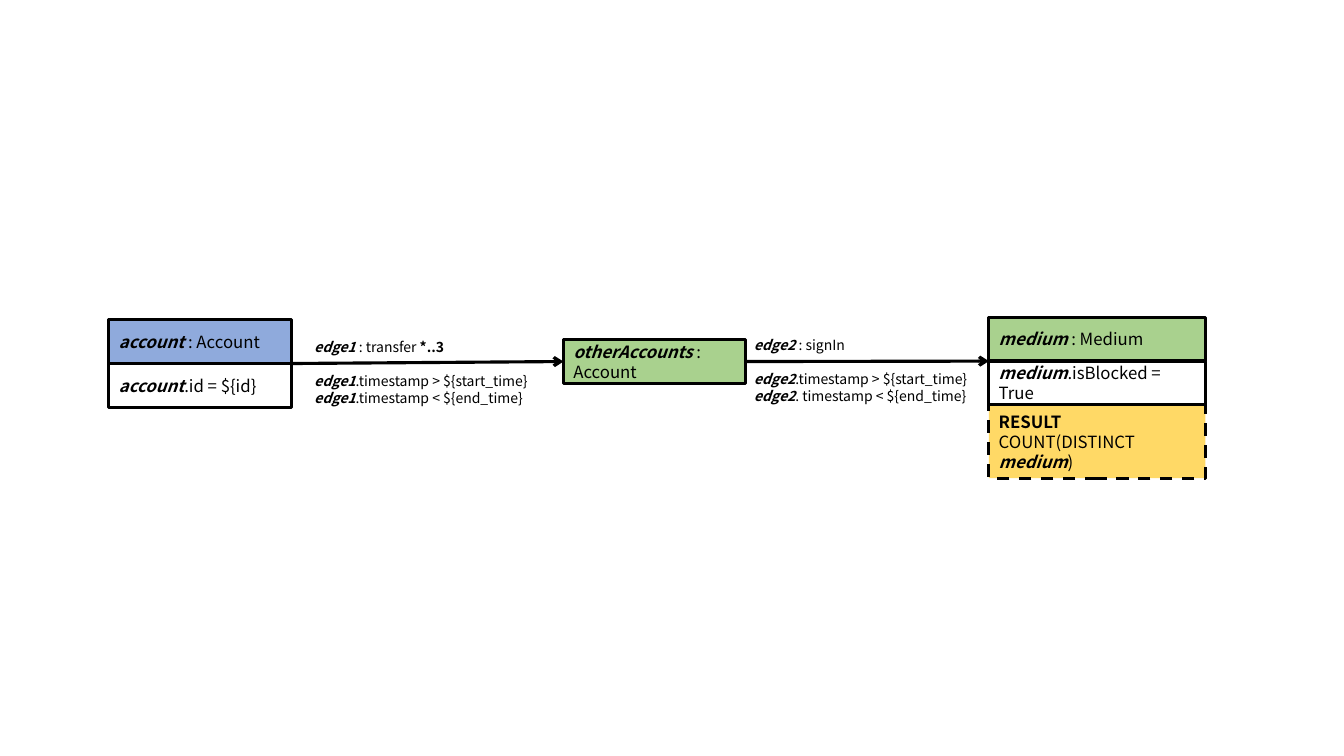
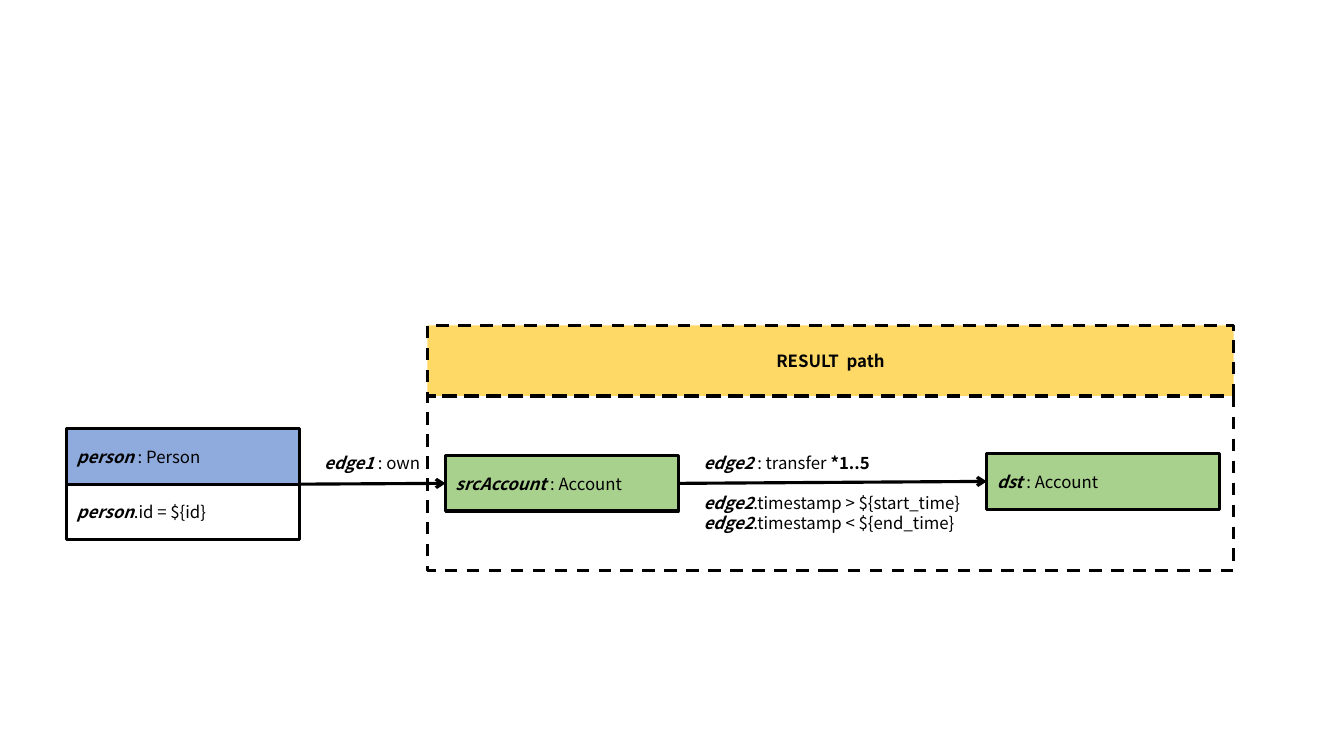
import dataclasses
import typing

import pptx
import pptx.dml.color
import pptx.enum.dml
import pptx.enum.shapes
import pptx.enum.text
import pptx.oxml
import pptx.oxml.ns
import pptx.util

Cm = pptx.util.Cm
Pt = pptx.util.Pt

FONT = "Noto Sans CJK SC"
COLORS = {
    "ink": "000000",
    "start": "8FAADC",
    "node": "A9D18E",
    "result": "FFD966",
}
LINE_WIDTH = 2.25
LINE_PITCH = 1.2  # line height as a multiple of the text size


class Run(typing.NamedTuple):
    """A piece of text with one format."""
    text: str
    bold: bool = False
    italic: bool = False


Lines = list[list[Run]]


@dataclasses.dataclass
class Row:
    """One compartment of a card; without a fill it is see-through."""
    lines: Lines
    height: float
    fill: str | None = None
    dashed: bool = False
    centered: bool = False


@dataclasses.dataclass
class Card:
    """A stack of rows; lengths in centimetres."""
    left: float
    top: float
    width: float
    rows: list[Row]

    @property
    def right(self) -> float:
        """Right edge."""
        return self.left + self.width

    @property
    def port(self) -> float:
        """Height at which arrows meet the card: first seam, or middle."""
        first = self.rows[0].height
        return self.top + (first if len(self.rows) > 1 else first / 2)


@dataclasses.dataclass
class Label:
    """The name of an edge, with its conditions below the arrow."""
    left: float
    top: float
    width: float
    height: float
    size: float
    name: list[Run]
    conditions: Lines = dataclasses.field(default_factory=list)


def var(name: str, rest: str) -> list[Run]:
    """Return a variable in bold italics followed by plain text."""
    return [Run(name, bold=True, italic=True), Run(rest)]


def strong(text: str) -> Run:
    """Return a bold run."""
    return Run(text, bold=True)


def rgb(name: str) -> pptx.dml.color.RGBColor:
    """Look up a colour by name."""
    return pptx.dml.color.RGBColor.from_string(COLORS[name])


def write(p, text: str, *, size: float = 12, bold: bool = False,
          italic: bool = False, color: str = "ink") -> None:
    """Add one formatted run to a paragraph."""
    r = p.add_run()
    r.text = text
    r.font.name = FONT
    r.font.size = Pt(size)
    r.font.bold = bold
    r.font.italic = italic
    r.font.color.rgb = rgb(color)


def fill_frame(tf, lines: Lines, size: float = 12,
               centered: bool = False) -> list:
    """Write lines into a text frame and return the paragraphs."""
    tf.word_wrap = True
    align = pptx.enum.text.PP_ALIGN
    for i, line in enumerate(lines):
        p = tf.paragraphs[0] if i == 0 else tf.add_paragraph()
        p.alignment = align.CENTER if centered else align.LEFT
        for run in line:
            write(p, run.text, size=size, bold=run.bold, italic=run.italic)
    return list(tf.paragraphs)


def outline(line, dashed: bool = False) -> None:
    """Give a shape or connector the common line style."""
    line.color.rgb = rgb("ink")
    line.width = Pt(LINE_WIDTH)
    if dashed:
        line.dash_style = pptx.enum.dml.MSO_LINE.DASH


def draw_row(s, card: Card, row: Row, top: float) -> None:
    """Draw one compartment of a card."""
    sp = s.shapes.add_shape(
        pptx.enum.shapes.MSO_SHAPE.RECTANGLE,
        Cm(card.left), Cm(top), Cm(card.width), Cm(row.height))
    sp.shadow.inherit = False
    if row.fill:
        sp.fill.solid()
        sp.fill.fore_color.rgb = rgb(row.fill)
    else:
        sp.fill.background()
    outline(sp.line, row.dashed)
    sp.text_frame.vertical_anchor = pptx.enum.text.MSO_ANCHOR.MIDDLE
    fill_frame(sp.text_frame, row.lines, centered=row.centered)


def draw_card(s, card: Card) -> None:
    """Draw a card, see-through rows last so that their outline stays whole."""
    placed = []
    top = card.top
    for row in card.rows:
        placed.append((row, top))
        top += row.height
    for row, y in sorted(placed, key=lambda item: item[0].fill is None):
        draw_row(s, card, row, y)


def draw_arrow(s, source: Card, target: Card) -> None:
    """Draw an arrow from the right of one card to the left of another."""
    cxn = s.shapes.add_connector(
        pptx.enum.shapes.MSO_CONNECTOR.STRAIGHT,
        Cm(source.right), Cm(source.port), Cm(target.left), Cm(target.port))
    outline(cxn.line)
    head = pptx.oxml.parse_xml(
        f'<a:tailEnd {pptx.oxml.ns.nsdecls("a")} type="arrow"/>')
    cxn.line._get_or_add_ln().append(head)
    cxn._element.spPr.append(pptx.oxml.parse_xml(
        f'<a:effectLst {pptx.oxml.ns.nsdecls("a")}/>'))


def draw_label(s, label: Label) -> None:
    """Write an edge name, leaving one line free for the arrow."""
    sp = s.shapes.add_textbox(
        Cm(label.left), Cm(label.top), Cm(label.width), Cm(label.height))
    paragraphs = fill_frame(
        sp.text_frame, [label.name, *label.conditions], label.size)
    if label.conditions:
        paragraphs[1].space_before = Pt(label.size * LINE_PITCH)


def draw_pattern(prs, chain: list[Card], labels: list[Label],
                 frames: typing.Sequence[Card] = ()) -> None:
    """Add a slide with a chain of cards, arrows, labels and frames."""
    s = prs.slides.add_slide(prs.slide_layouts[6])
    for card in chain:
        draw_card(s, card)
    for source, target in zip(chain, chain[1:]):
        draw_arrow(s, source, target)
    for label in labels:
        draw_label(s, label)
    for frame in frames:
        draw_card(s, frame)


def blocked_medium(prs) -> None:
    """Accounts that lead to blocked media."""
    h = 1.1
    account = Card(2.74, 8.06, 4.6, [
        Row([var("account ", ": Account")], h, "start"),
        Row([var("account", ".id = ${id}")], h),
    ])
    others = Card(14.2, 8.56, 4.6, [
        Row([var("otherAccounts ", ": Account")], h, "node"),
    ])
    count = [Run("COUNT(DISTINCT "), *var("medium", ")")]
    medium = Card(24.92, 8, 5.46, [
        Row([var("medium ", ": Medium")], h, "node"),
        Row([var("medium", ".isBlocked = True")], h),
        Row([[strong("RESULT")], count], 1.85, "result", dashed=True),
    ])
    labels = [
        Label(7.67, 8.41, 6.83, 1.96, 10,
              [*var("edge1 ", ": transfer"), strong(" *..3")],
              [var("edge1", ".timestamp > ${start_time}"),
               var("edge1", ".timestamp < ${end_time}")]),
        Label(18.75, 8.36, 6.17, 1.96, 10,
              var("edge2 ", ": signIn"),
              [var("edge2", ".timestamp > ${start_time}"),
               var("edge2", ". timestamp < ${end_time}")]),
    ]
    draw_pattern(prs, [account, others, medium], labels)


def transfer_path(prs) -> None:
    """Transfer paths from the accounts of a person."""
    w, h = 5.87, 1.4
    person = Card(1.68, 10.8, w, [
        Row([var("person ", ": Person")], h, "start"),
        Row([var("person", ".id = ${id}")], h),
    ])
    src = Card(11.23, 11.48, w, [
        Row([var("srcAccount ", ": Account")], h, "node")])
    dst = Card(24.87, 11.43, w, [
        Row([var("dst ", ": Account")], h, "node")])
    labels = [
        Label(7.92, 11.28, 3.28, 1.27, 12, var("edge1 ", ": own")),
        Label(17.48, 11.28, 7.9, 2.31, 12,
              [*var("edge2 ", ": transfer"), strong(" *1..5")],
              [var("edge2", ".timestamp > ${start_time}"),
               var("edge2", ".timestamp < ${end_time}")]),
    ]
    result = Card(10.77, 8.2, 20.32, [
        Row([[strong("RESULT  path")]], 1.78, "result", dashed=True,
            centered=True),
        Row([], 4.39, dashed=True),
    ])
    draw_pattern(prs, [person, src, dst], labels, [result])


def main() -> None:
    """Build and save the presentation."""
    prs = pptx.Presentation()
    prs.slide_width = Cm(33.87)
    prs.slide_height = Cm(19.05)
    blocked_medium(prs)
    transfer_path(prs)
    prs.save("out.pptx")


main()
